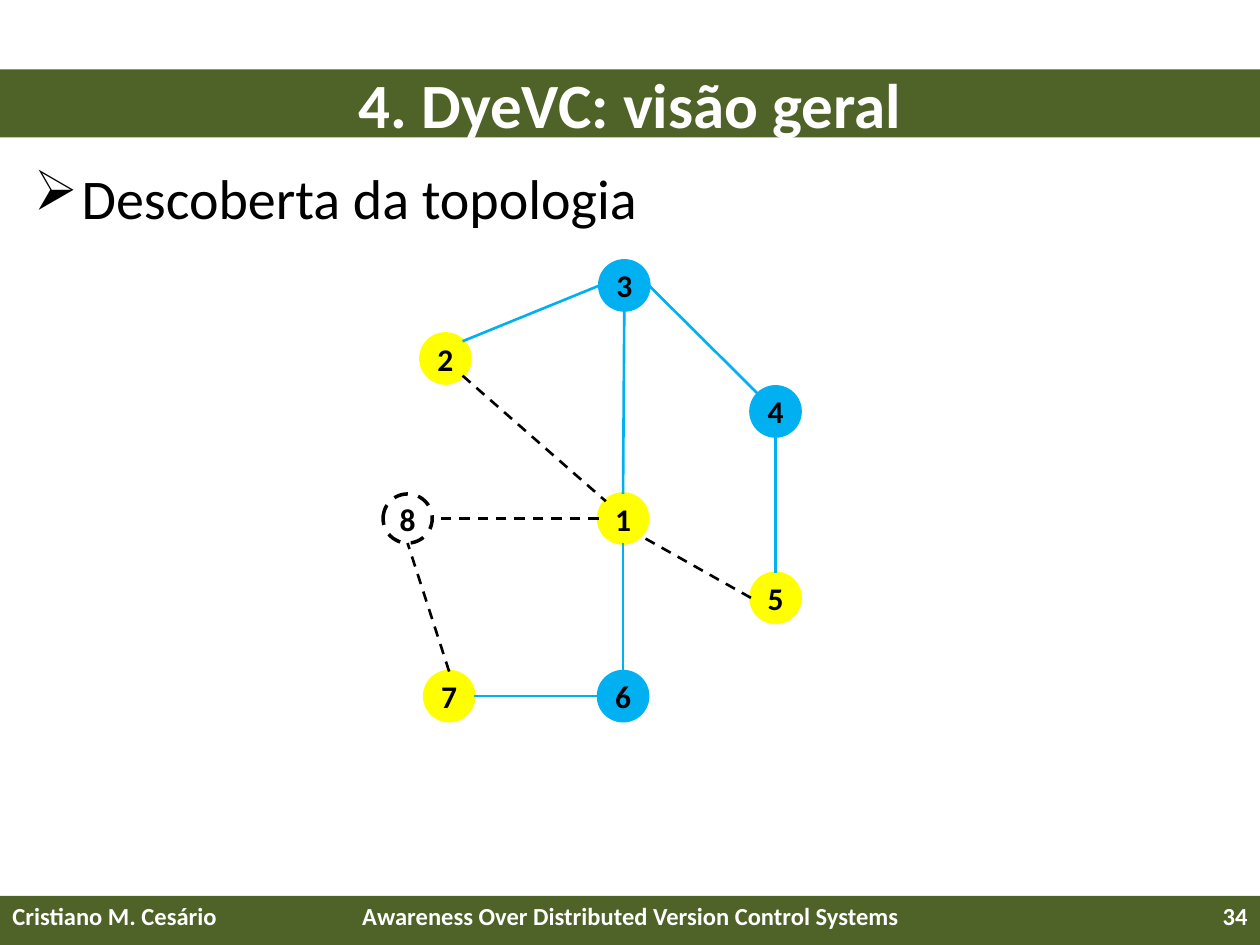
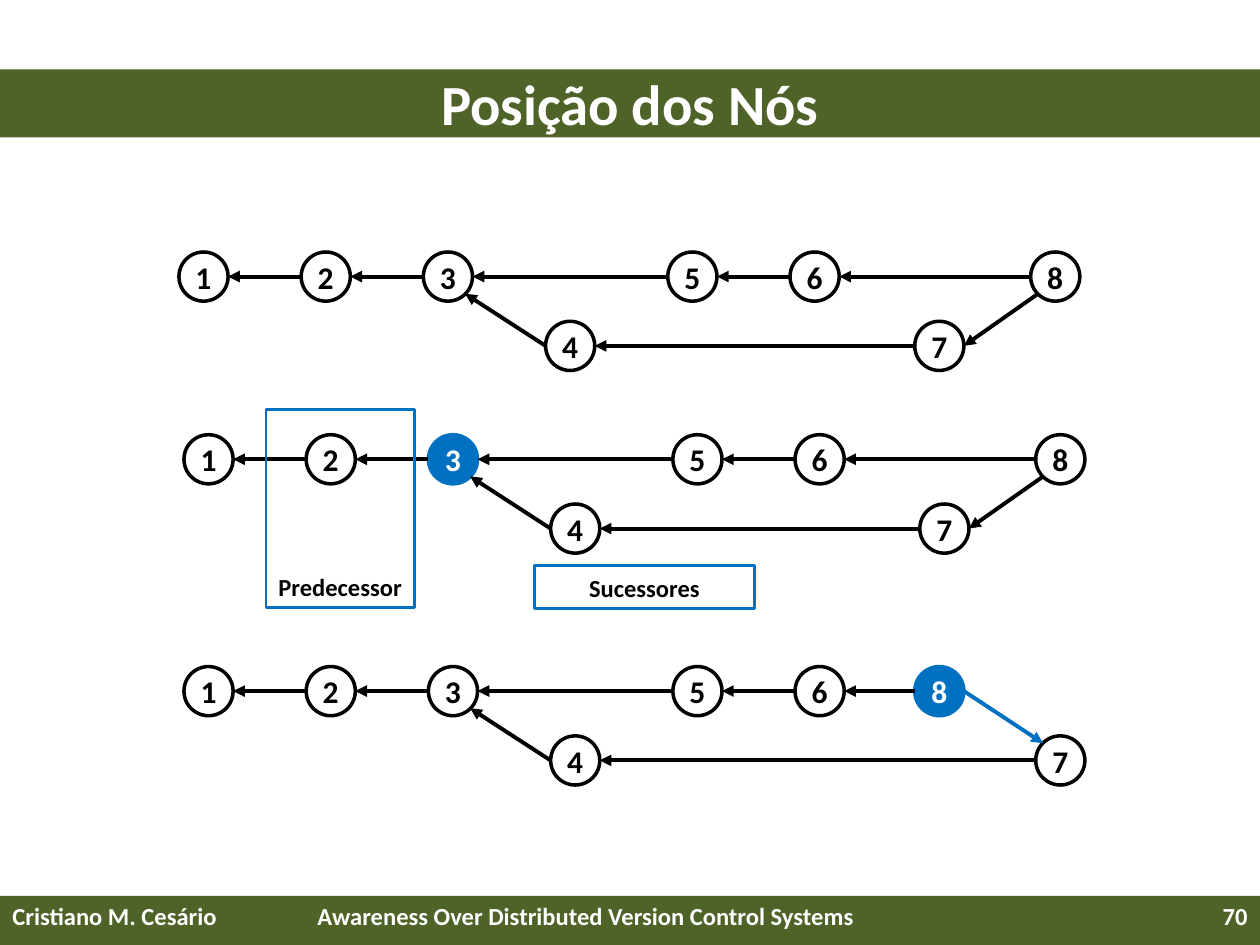
from dataclasses import dataclass

from lxml.etree import SubElement
from pptx import Presentation
from pptx.dml.color import RGBColor as Rgb
from pptx.enum.dml import MSO_LINE as Dash
from pptx.enum.shapes import MSO_CONNECTOR as Connector, MSO_SHAPE as Shape
from pptx.enum.text import MSO_ANCHOR as Anchor, PP_ALIGN as Align
from pptx.oxml.ns import qn
from pptx.util import Inches, Pt


@dataclass(frozen=True)
class Theme:
    font: str = "Calibri"
    band: str = "4F6228"
    white: str = "FFFFFF"
    black: str = "000000"
    yellow: str = "FFFF00"
    cyan: str = "00B0F0"
    blue: str = "0070C0"
    topic_size: float = 32
    node_size: float = 18
    small_size: float = 14
    edge_width: float = 1.5
    node_width: float = 2
    arrow_width: float = 2.25
    node_diameter: float = 0.39


NEAR, FAR = 0.15, 0.85
SITES = {
    "N": (0.5, 0), "NE": (FAR, NEAR), "E": (1, 0.5), "SE": (FAR, FAR),
    "S": (0.5, 1), "SW": (NEAR, FAR), "W": (0, 0.5), "NW": (NEAR, NEAR),
}


class Deck:
    """Holds the theme and the current slide, and draws each kind of element."""

    def __init__(self, theme):
        self.theme = theme
        self.prs = Presentation()
        self.prs.slide_width, self.prs.slide_height = Inches(10), Inches(7.5)
        self.slide = None

    def start(self, title, title_size, number, subject_align):
        theme = self.theme
        self.slide = self.prs.slides.add_slide(self.prs.slide_layouts[6])
        self.shape(Shape.RECTANGLE, (0, 7.11, 10, 0.39), theme.band)
        title_band = self.shape(Shape.RECTANGLE, (0, 0.55, 10, 0.54), theme.band)
        self.set_text(title_band, title, title_size, theme.white)
        footers = (
            (0, 2.33, "Cristiano M. Cesário", Align.LEFT),
            (2.42, 5.17, "Awareness Over Distributed Version Control Systems", subject_align),
            (7.67, 2.33, number, Align.RIGHT),
        )
        for left, width, words, align in footers:
            footer = self.textbox((left, 7.1, width, 0.4))
            self.set_text(footer, words, theme.small_size, theme.white, align, Anchor.TOP)

    def textbox(self, box):
        return self.slide.shapes.add_textbox(*map(Inches, box))

    def shape(self, kind, box, fill=None, line=None, width=0, dashed=False):
        shape = self.slide.shapes.add_shape(kind, *map(Inches, box))
        shape.shadow.inherit = False
        if fill:
            shape.fill.solid()
            shape.fill.fore_color.rgb = Rgb.from_string(fill)
        else:
            shape.fill.background()
        if line:
            self.stroke(shape, line, width, dashed)
        else:
            shape.line.fill.background()
        return shape

    def stroke(self, target, color, width, dashed):
        target.line.color.rgb = Rgb.from_string(color)
        target.line.width = Pt(width)
        if dashed:
            target.line.dash_style = Dash.DASH

    def set_text(self, shape, words, size, color, align=Align.CENTER,
                 anchor=Anchor.MIDDLE, bold=True, bullet=None):
        frame = shape.text_frame
        frame.word_wrap = True
        frame.vertical_anchor = anchor
        paragraph = frame.paragraphs[0]
        paragraph.text = words
        paragraph.alignment = align
        if bullet:
            properties = paragraph._p.get_or_add_pPr()
            properties.set("marL", str(Inches(0.38)))
            properties.set("indent", str(-Inches(0.38)))
            SubElement(properties, qn("a:buChar")).set("char", bullet)
        font = paragraph.font
        font.name, font.size, font.bold = self.theme.font, Pt(size), bold
        font.color.rgb = Rgb.from_string(color)
        return frame

    def topic(self, words):
        self.set_text(self.textbox((0.17, 1.25, 9.67, 5.75)), words, self.theme.topic_size,
                      self.theme.black, Align.LEFT, Anchor.TOP, False, "➢")

    def node(self, label, place, fill, line, ink, dashed=False):
        diameter = self.theme.node_diameter
        circle = self.shape(Shape.OVAL, (*place, diameter, diameter), fill, line,
                            self.theme.node_width, dashed)
        frame = self.set_text(circle, label, self.theme.node_size, ink)
        frame.margin_left = frame.margin_right = Inches(0.04)
        frame.margin_top = frame.margin_bottom = Inches(0.04)
        frame.word_wrap = False

    def edge(self, places, start, start_site, end, end_site, color, width,
             dashed=False, arrow=False):
        points = [
            Inches(corner + share * self.theme.node_diameter)
            for node, site in ((start, start_site), (end, end_site))
            for corner, share in zip(places[node], SITES[site])
        ]
        line = self.slide.shapes.add_connector(Connector.STRAIGHT, *points)
        self.stroke(line, color, width, dashed)
        if arrow:
            SubElement(line.line._get_or_add_ln(), qn("a:tailEnd")).set("type", "triangle")
        SubElement(line._element.spPr, qn("a:effectLst"))

    def frame_label(self, words, box):
        frame = self.shape(Shape.RECTANGLE, box, None, self.theme.blue, self.theme.edge_width)
        self.set_text(frame, words, self.theme.small_size, self.theme.black,
                      anchor=Anchor.BOTTOM).word_wrap = False

    def history(self, origin, offsets, edges, highlight=None, blue_edge=None):
        theme = self.theme
        left, top = origin
        places = {node: (left + x, top + y) for node, (x, y) in offsets.items()}
        for node, place in places.items():
            colors = (theme.white, theme.black, theme.black)
            if node == highlight:
                colors = (theme.blue, theme.blue, theme.white)
            self.node(node, place, *colors)
        for link in edges:
            color = theme.blue if link == blue_edge else theme.black
            self.edge(places, *link, color, theme.arrow_width, arrow=True)


def topology_slide(deck):
    theme = deck.theme
    deck.start("4. DyeVC: visão geral", 36, "34", Align.CENTER)
    places = {
        "1": (4.75, 3.92), "2": (3.34, 2.65), "3": (4.76, 2.07), "4": (5.96, 3.07),
        "5": (5.96, 4.55), "6": (4.75, 5.33), "7": (3.37, 5.33), "8": (3.04, 3.92),
    }
    fills = dict.fromkeys("1257", theme.yellow) | dict.fromkeys("346", theme.cyan)
    for node, place in places.items():
        fill = fills.get(node)
        deck.node(node, place, fill, fill or theme.black, theme.black, dashed=not fill)
    known = (("3", "S", "1", "N"), ("3", "W", "2", "NE"), ("1", "S", "6", "N"),
             ("6", "W", "7", "E"), ("3", "E", "4", "NW"), ("4", "S", "5", "N"))
    hidden = (("1", "W", "8", "E"), ("2", "SE", "1", "NW"),
              ("5", "W", "1", "SE"), ("7", "N", "8", "S"))
    for link in known:
        deck.edge(places, *link, theme.cyan, theme.edge_width)
    for link in hidden:
        deck.edge(places, *link, theme.black, theme.edge_width, dashed=True)
    deck.topic("Descoberta da topologia")


def position_slide(deck):
    deck.start("Posição dos Nós", 32.4, "70", Align.LEFT)
    step, drop = 0.97, 0.55
    offsets = {str(i + 1): (i * step, drop if i == 3 else 0) for i in range(6)}
    before = offsets | {"7": (5.84, drop), "8": (6.76, 0)}
    after = offsets | {"8": (5.8, 0), "7": (6.76, drop)}
    edges = [("2", "W", "1", "E"), ("3", "W", "2", "E"), ("4", "W", "3", "SE"),
             ("5", "W", "3", "E"), ("7", "W", "4", "E"), ("6", "W", "5", "E"),
             ("8", "W", "6", "E")]
    merge_down, merge_right = ("8", "SW", "7", "E"), ("8", "E", "7", "NW")
    deck.history((1.42, 2), before, edges + [merge_down])
    deck.history((1.46, 3.45), before, edges + [merge_down], "3")
    deck.frame_label("Predecessor", (2.11, 3.25, 1.18, 1.57))
    deck.frame_label("Sucessores", (4.24, 4.49, 1.75, 0.34))
    deck.history((1.46, 5.29), after, edges + [merge_right], "8", merge_right)


def main():
    deck = Deck(Theme())
    topology_slide(deck)
    position_slide(deck)
    deck.prs.save("out.pptx")


if __name__ == "__main__":
    main()
